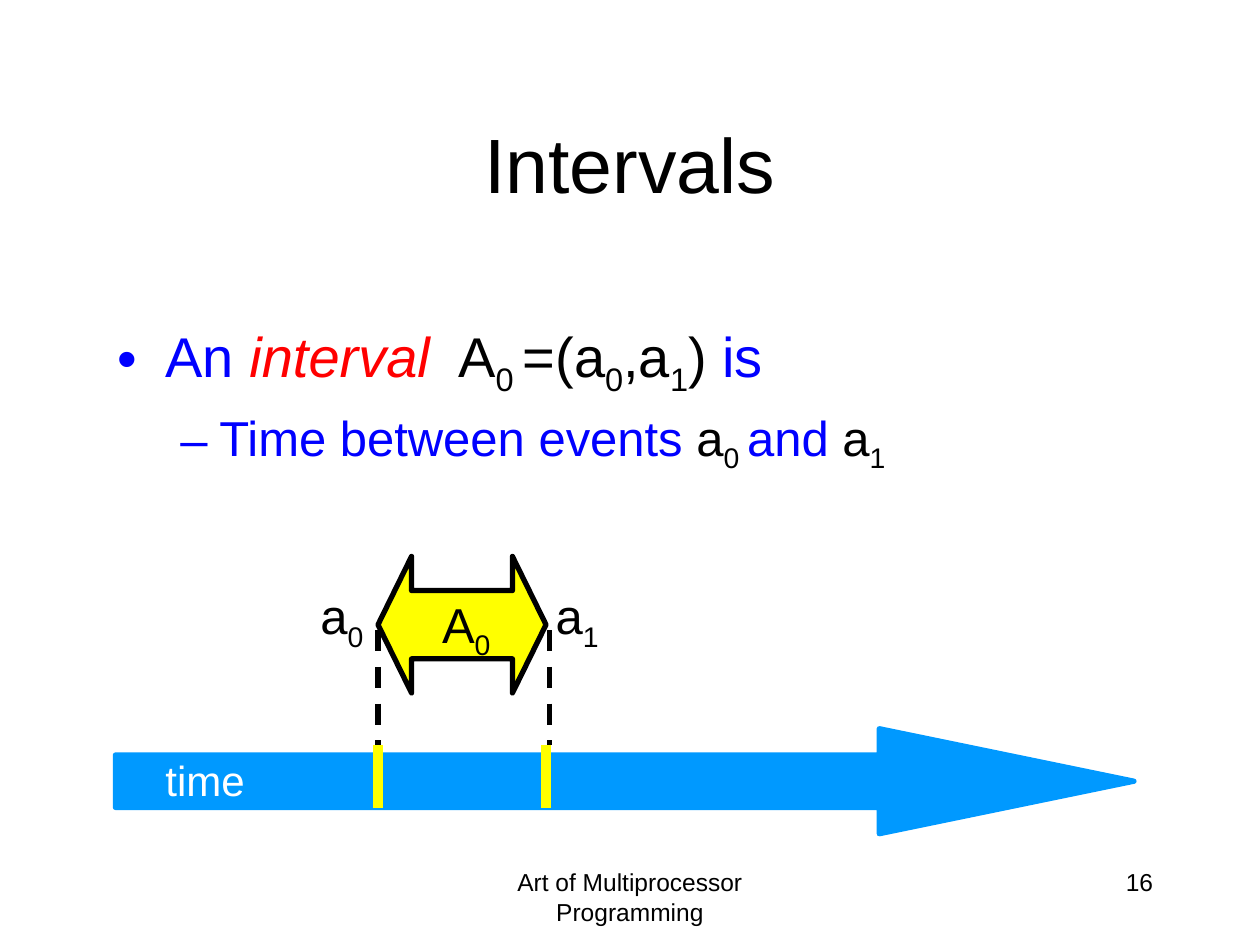
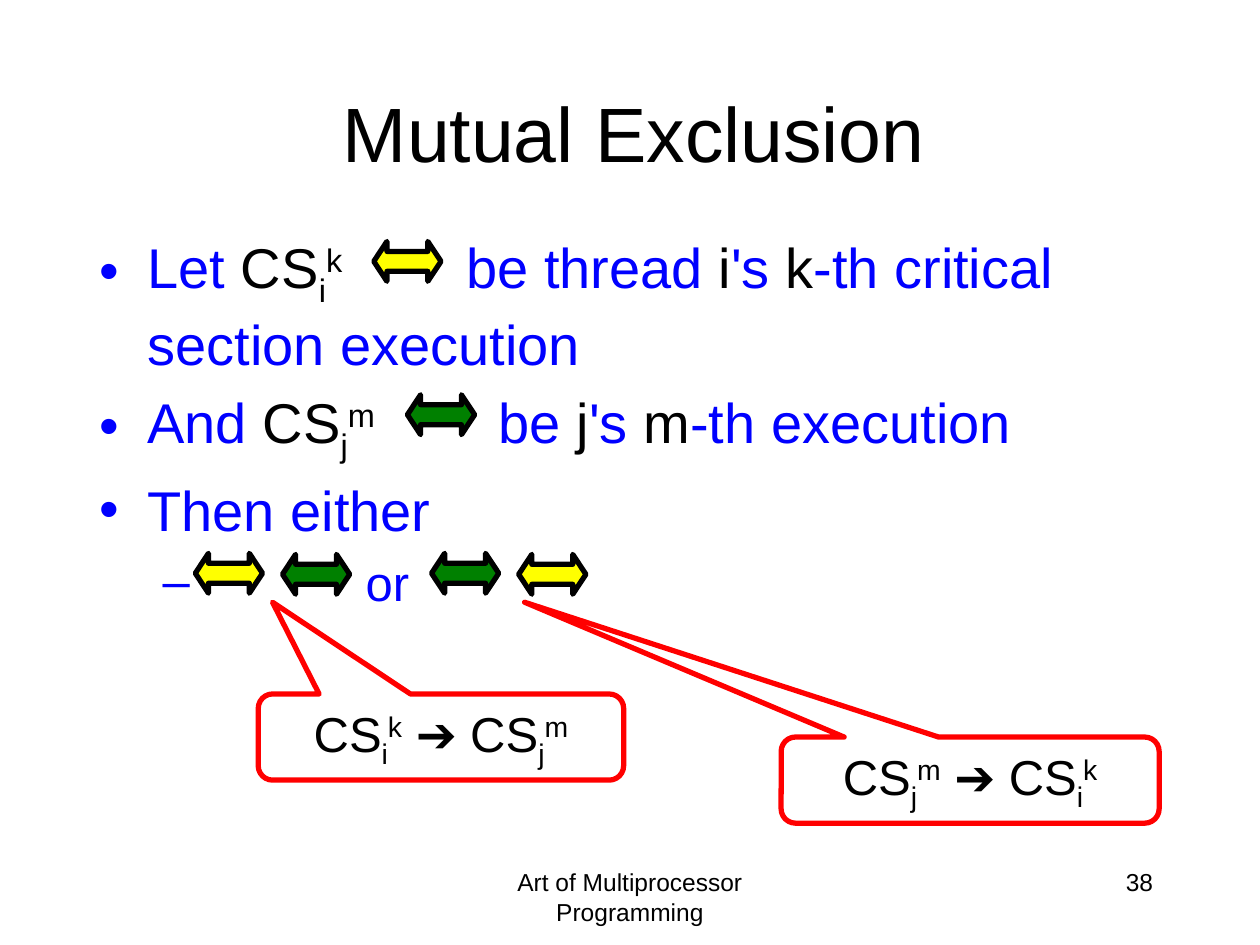
from dataclasses import dataclass
from lxml.etree import SubElement as Sub
from pptx import Presentation
from pptx.dml.color import RGBColor as Rgb
from pptx.enum.dml import MSO_LINE as Dash
from pptx.enum.shapes import MSO_CONNECTOR as Link, MSO_SHAPE as Form
from pptx.enum.text import MSO_ANCHOR as Anchor, PP_ALIGN as Align
from pptx.oxml.ns import qn
from pptx.util import Inches, Pt

FONT = "Arial"
HUES = {"ink": "000000", "white": "FFFFFF", "blue": "0000FF", "red": "FF0000",
        "sky": "0099FF", "gold": "FFFF00", "green": "008000"}
SHIFTS = {"sub": -25000, "sup": 30000}
BULLETS = [("•", 32, 0.38, -0.38), ("–", 28, 0.81, -0.31)]
COLS, ROWS = 120, 90
WIDE, HIGH = Inches(10), Inches(7.5)


@dataclass
class Box:
    """A region measured in grid columns and rows."""
    x: float
    y: float
    w: float
    h: float

    def area(self, x, y, w, h):
        """Return a box placed relative to this one."""
        return Box(self.x + x, self.y + y, w, h)

    def spot(self, x, y):
        """Return the slide point at an offset from this box."""
        return int((self.x + x) * WIDE / COLS), int((self.y + y) * HIGH / ROWS)

    def frame(self):
        """Return left, top, width and height on the slide."""
        return *self.spot(0, 0), int(self.w * WIDE / COLS), int(self.h * HIGH / ROWS)


PAGE = Box(0, 0, COLS, ROWS)


def tint(hue):
    """Turn a colour name into a colour."""
    return Rgb.from_string(HUES[hue])


def write(para, runs, size):
    """Add runs given as text, style and optional letter gap."""
    for text, style, *gap in runs:
        run = para.add_run()
        run.text = text
        font = run.font
        font.name, font.size = FONT, Pt(size)
        font.color.rgb = tint("ink" if style in SHIFTS else style)
        font.italic = style == "red"
        if style in SHIFTS:
            font._element.set("baseline", str(SHIFTS[style]))
        if gap:
            font._element.set("spc", str(gap[0] * 100))


def label(slide, box, runs, size, align=Align.CENTER, wrap=True, anchor=Anchor.TOP):
    """Place one paragraph of text in a box."""
    frame = slide.shapes.add_textbox(*box.frame()).text_frame
    frame.word_wrap, frame.vertical_anchor = wrap, anchor
    para = frame.paragraphs[0]
    para.alignment = align
    write(para, runs, size)


def tag(slide, box, runs, size=28):
    """Place a short unwrapped label flush right."""
    label(slide, box, runs, size, Align.RIGHT, wrap=False)


def outline(slide, box, points):
    """Fill the body box with bulleted points."""
    frame = slide.shapes.add_textbox(*box.frame()).text_frame
    frame.word_wrap = True
    for spot, (level, runs) in enumerate(points):
        para = frame.add_paragraph() if spot else frame.paragraphs[0]
        mark, size, left, hang = BULLETS[level]
        para.level = level
        props = para._p.get_or_add_pPr()
        props.set("marL", str(Inches(left)))
        props.set("indent", str(Inches(hang)))
        Sub(Sub(props, qn("a:spcBef")), qn("a:spcPct")).set("val", "20000")
        Sub(props, qn("a:buFont")).set("typeface", FONT)
        Sub(props, qn("a:buChar")).set("char", mark)
        write(para, runs, size)


def shape(slide, form, box, fill, line, adjust):
    """Draw a preset shape with a thick line and perhaps a fill."""
    item = slide.shapes.add_shape(form, *box.frame())
    item.shadow.inherit = False
    if fill:
        item.fill.solid()
        item.fill.fore_color.rgb = tint(fill)
    else:
        item.fill.background()
    item.line.color.rgb, item.line.width = tint(line), Pt(3)
    for spot, value in enumerate(adjust):
        item.adjustments[spot] = value
    return item


def span(slide, box, fill, head=0.33):
    """Draw a double arrow standing for an interval."""
    shape(slide, Form.LEFT_RIGHT_ARROW, box, fill, "ink", (0.5, head))


def stroke(slide, box, x, top, end, hue, width, dash=None):
    """Draw an upright line inside a box."""
    line = slide.shapes.add_connector(Link.STRAIGHT, *box.spot(x, top), *box.spot(x, end))
    line.line.color.rgb, line.line.width = tint(hue), Pt(width)
    if dash:
        line.line.dash_style = dash
    Sub(line._element.spPr, qn("a:effectLst"))


def base(deck, title, left, top, number):
    """Add a blank slide with its title and footer."""
    slide = deck.slides.add_slide(deck.slide_layouts[6])
    label(slide, PAGE.area(41, 82, 38, 6), [("Art of Multiprocessor Programming", "ink")], 14)
    label(slide, PAGE.area(86, 82, 25, 6), [(number, "ink")], 14, Align.RIGHT)
    label(slide, PAGE.area(left, top, 102, 15), [(title, "ink")], 44, anchor=Anchor.MIDDLE)
    return slide


def timeline(slide, box):
    """Draw the time arrow with one interval and its two events."""
    shape(slide, Form.RIGHT_ARROW, box.area(0, 16.4, box.w, 10), "sky", "sky", (0.5, 2.425))
    tag(slide, box.area(3.4, 18.3, 10.1, 6.1), [("time", "white")], 24)
    for x, drop, left, name in ((25, 25, 17.8, "0"), (41, 41.3, 40.2, "1")):
        stroke(slide, box, drop, 7, 18, "ink", 3, Dash.DASH)
        tag(slide, box.area(left, 2.2, 7, 6.8), [("a", "ink"), (name, "sub")])
        stroke(slide, box, x, 18, 24, "gold", 6)
    span(slide, box.area(25, 0, 16, 13), "gold", 0.246)
    tag(slide, box.area(29.4, 3, 7.5, 6.8), [("A", "ink"), ("0", "sub")])


def section(thread, turn):
    """Return the runs naming a critical section."""
    return [("CS", "ink"), (thread, "sub"), (turn, "sup")]


def callout(slide, box, first, last, tip):
    """Draw a red callout that states an order."""
    item = shape(slide, Form.ROUNDED_RECTANGULAR_CALLOUT, box, None, "red", (*tip, 0.167))
    frame = item.text_frame
    frame.vertical_anchor = Anchor.MIDDLE
    para = frame.paragraphs[0]
    para.alignment = Align.CENTER
    write(para, [*section(*first), (" ➔ ", "ink"), *section(*last)], 28)


def pair(slide, box, fills):
    """Draw two spans side by side."""
    for spot, fill in enumerate(fills):
        span(slide, box.area(spot * 8.3, spot * 0.1, 6.4, 3.8), fill)


def lesson(deck):
    """Build the slide on intervals."""
    slide = base(deck, "Intervals", 9, 8, "16")
    outline(slide, PAGE.area(10, 30, 102, 43), [
        (0, [("An ", "blue"), ("interval ", "red"), (" A", "ink"), ("0 ", "sub"),
             ("=(a", "ink"), ("0", "sub"), (",a", "ink"), ("1", "sub"),
             (")", "ink"), (" is", "blue")]),
        (1, [("Time between events ", "blue"), ("a", "ink"), ("0 ", "sub"),
             ("and ", "blue"), ("a", "ink"), ("1", "sub")])])
    timeline(slide, PAGE.area(11, 53, 97, 26.4))


def exclude(deck):
    """Build the slide on mutual exclusion."""
    slide = base(deck, "Mutual Exclusion", 9.4, 5, "38")
    body = PAGE.area(8.3, 21.6, 108.4, 54.5)
    space = (" ", "blue", 62)
    outline(slide, body, [
        (0, [("Let ", "blue"), *section("i", "k"), space, ("be thread ", "blue"),
             ("i", "ink"), ("'s ", "blue"), ("k", "ink"),
             ("-th critical section execution", "blue")]),
        (0, [("And ", "blue"), *section("j", "m"), space, ("be ", "blue"),
             ("j", "ink"), ("'s ", "blue"), ("m", "ink"), ("-th execution", "blue")]),
        (0, [("Then either", "blue")]),
        (1, [(" ", "blue", 86), ("or", "blue")])])
    span(slide, body.area(27.3, 1.4, 6.4, 3.8), "gold")
    span(slide, body.area(30.5, 16, 6.4, 3.8), "green")
    pair(slide, body.area(10.3, 31.1, 14.7, 3.9), ("gold", "green"))
    pair(slide, body.area(32.8, 31.1, 14.7, 3.9), ("green", "gold"))
    own, other = ("i", "k"), ("j", "m")
    callout(slide, PAGE.area(24.6, 66.1, 34.8, 8.2), own, other, (-0.461, -1.566))
    callout(slide, PAGE.area(74.4, 70.2, 36, 8.2), other, own, (-1.179, -2.066))


def main():
    """Build the deck and save it."""
    deck = Presentation()
    deck.slide_width, deck.slide_height = WIDE, HIGH
    lesson(deck)
    exclude(deck)
    deck.save("out.pptx")


if __name__ == "__main__":
    main()
